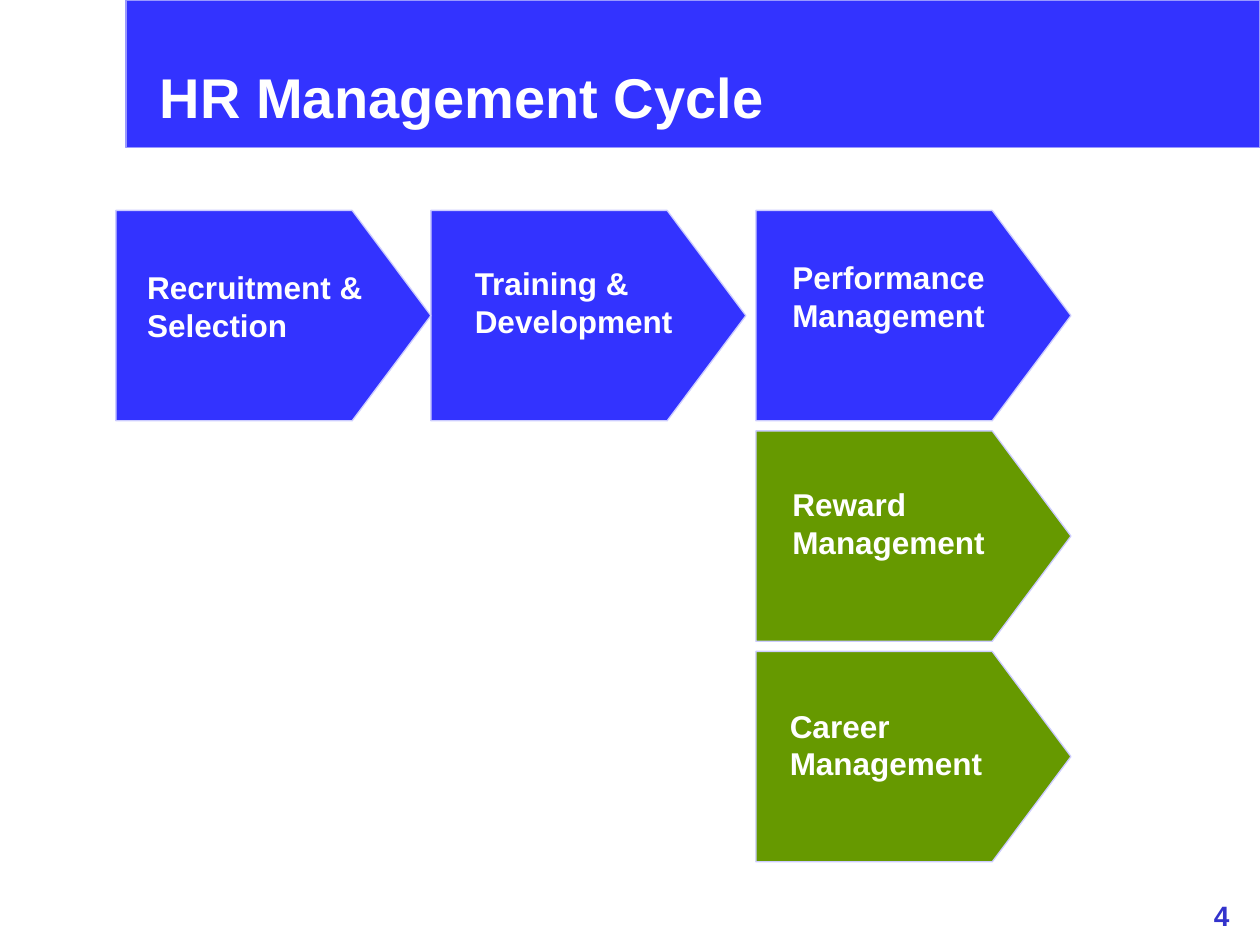
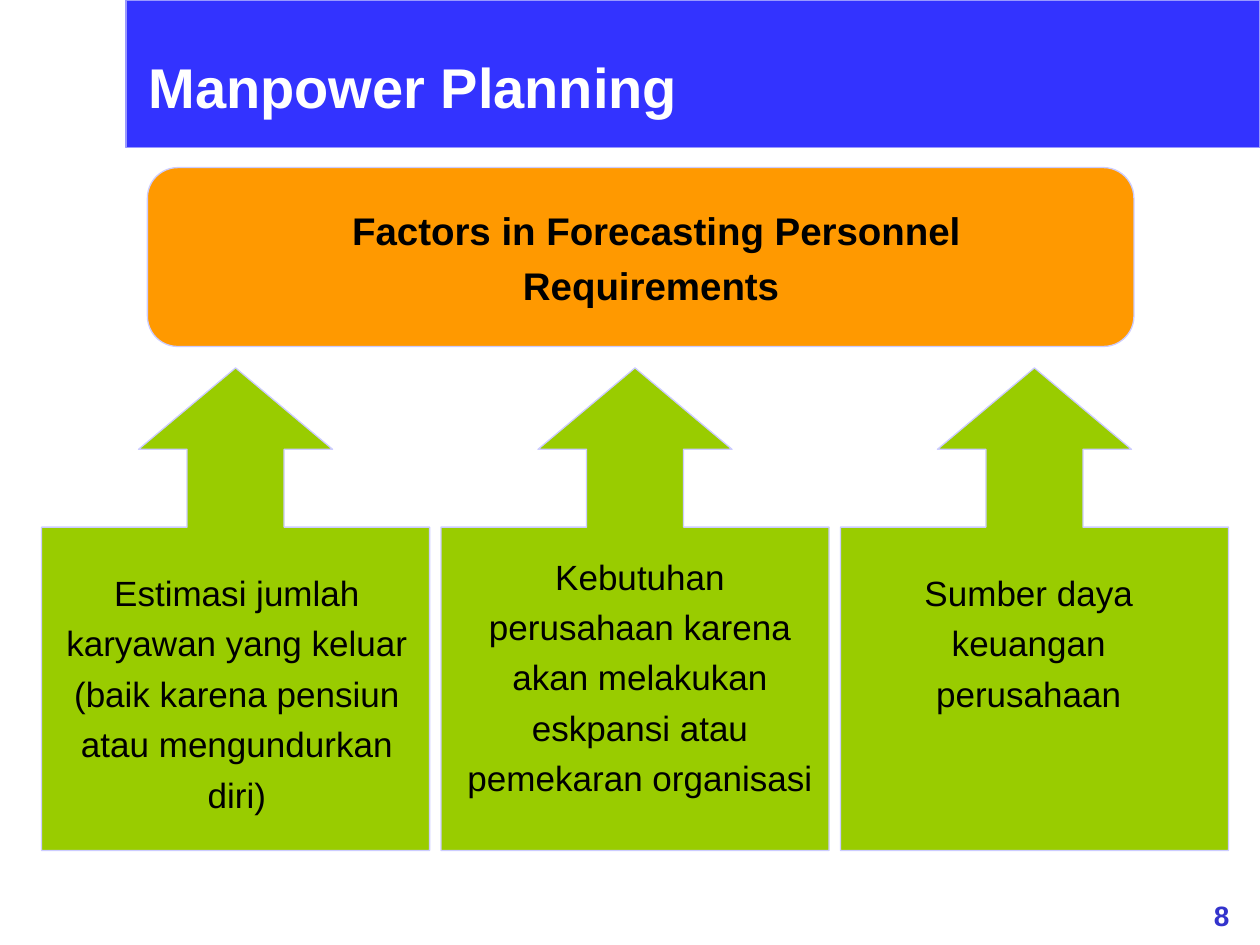
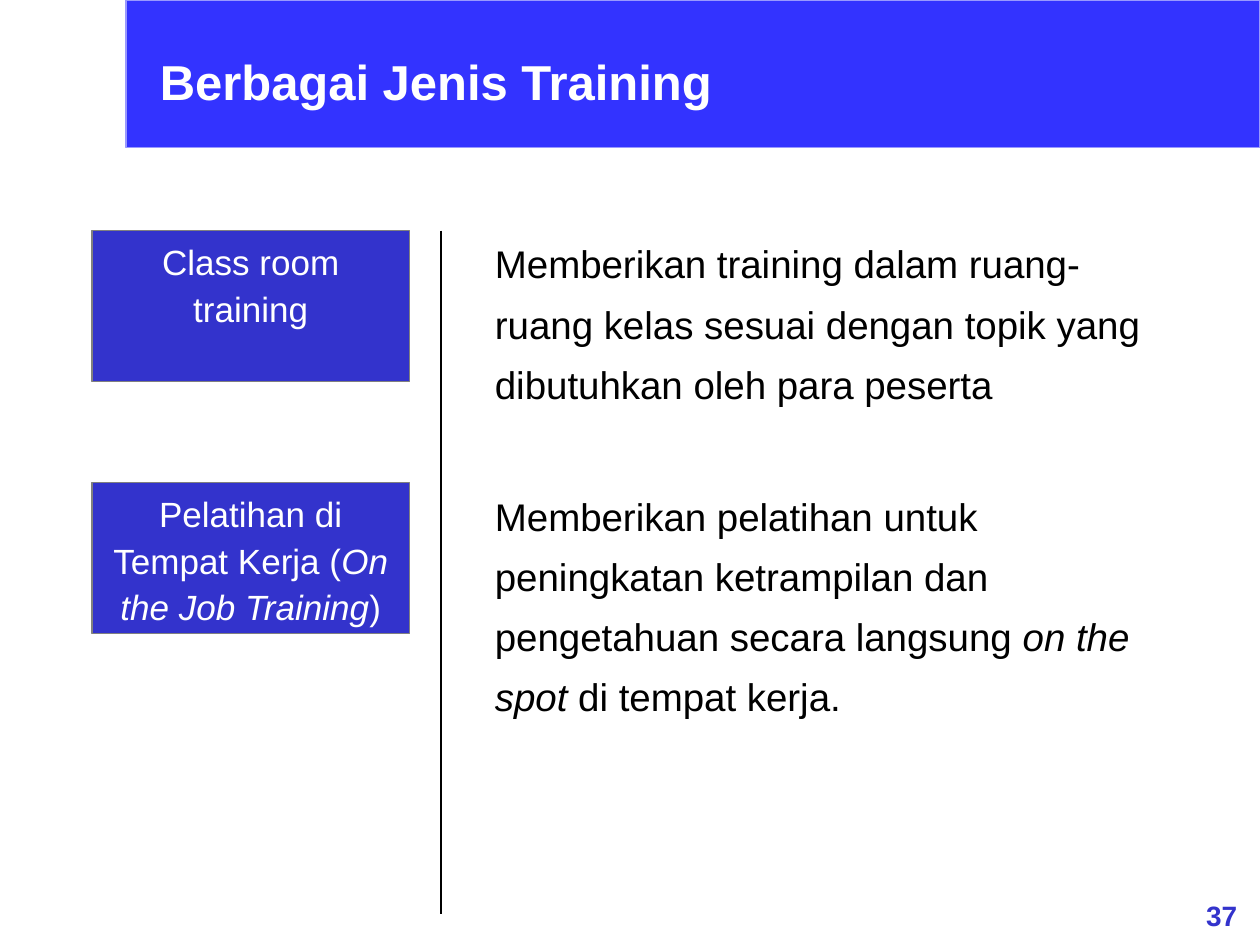
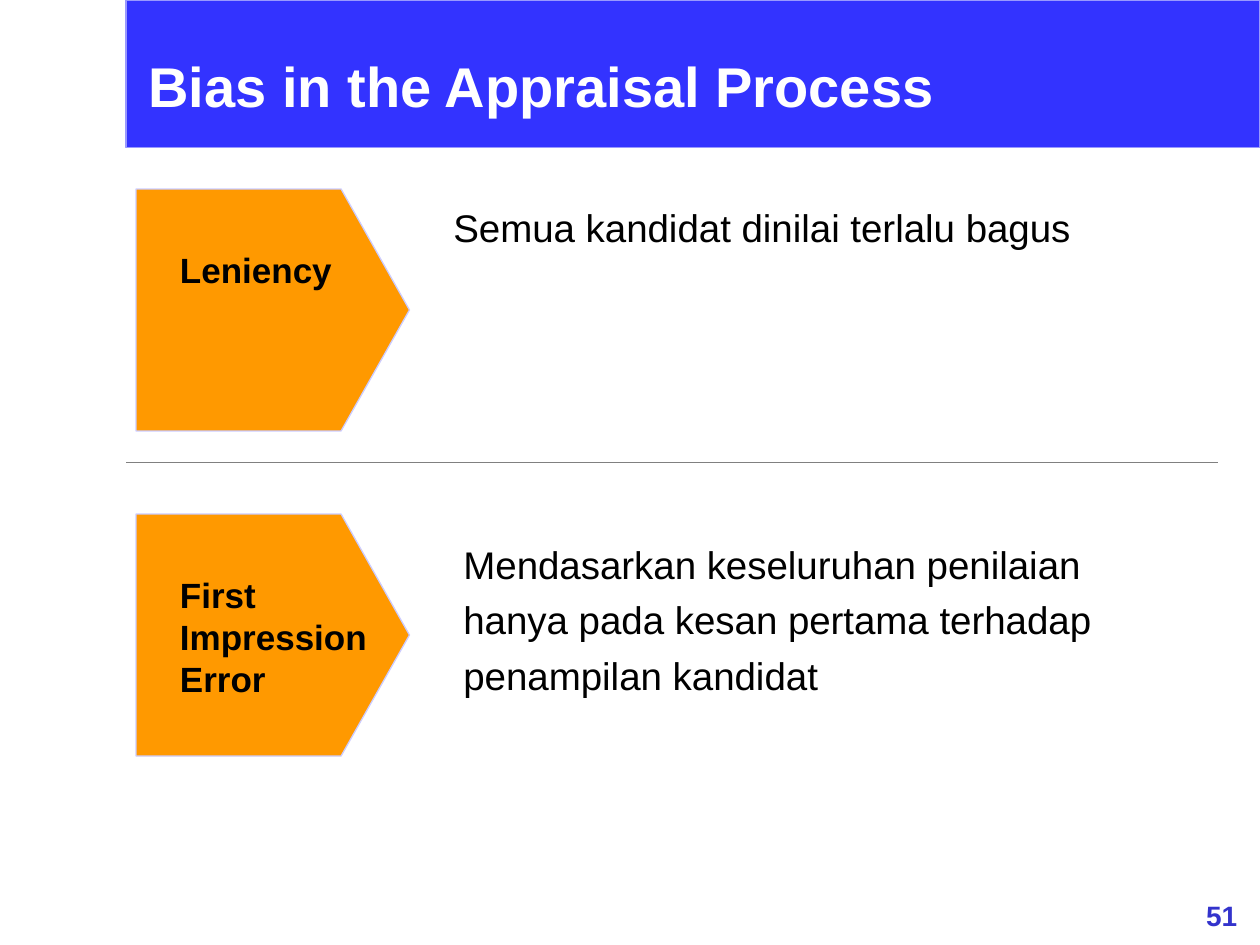
from dataclasses import dataclass

from lxml.etree import SubElement
from pptx import Presentation
from pptx.dml.color import RGBColor
from pptx.enum.shapes import MSO_CONNECTOR, MSO_SHAPE
from pptx.enum.text import MSO_ANCHOR, MSO_AUTO_SIZE, PP_ALIGN
from pptx.oxml.ns import qn
from pptx.util import Inches, Pt


@dataclass(frozen=True)
class Theme:
    font: str = "Arial"
    blue: str = "3333FF"
    indigo: str = "3333CC"
    green: str = "669900"
    lime: str = "99CC00"
    orange: str = "FF9900"
    white: str = "FFFFFF"
    black: str = "000000"
    gray: str = "808080"
    band_edge: str = "9999FF"
    shape_edge: str = "CCCCFF"
    line: float = 0.75
    title: int = 32
    small_title: int = 28
    body: int = 22
    caption: int = 20
    label: int = 18
    number: int = 16


THEME = Theme()

# Slide content. Positions are in inches; text is a list of paragraphs,
# each a list of spans, and a span is (words, italic).
CYCLE = {
    "title": "HR Management Cycle", "title_at": (1.17, 0.42, 6.58, 0.66), "number": 4,
    # column, row, fill, label lines, label place
    "steps": [
        (2, 2, THEME.green, ("Career", "Management"), (6.17, 5.56, 1.73, 0.7)),
        (2, 1, THEME.green, ("Reward", "Management"), (6.19, 3.8, 1.73, 0.7)),
        (1, 0, THEME.blue, ("Training &", "Development"), (3.67, 2.05, 1.77, 0.7)),
        (2, 0, THEME.blue, ("Performance", "Management"), (6.19, 2, 1.73, 0.7)),
        (0, 0, THEME.blue, ("Recruitment &", "Selection"), (1.07, 2.08, 1.91, 0.7)),
    ],
}

PLANNING = {
    "title": "Manpower Planning", "title_at": (1.08, 0.34, 8.5, 0.66), "number": 8,
    "heading": "Factors in Forecasting Personnel Requirements ",
    "factors": [
        ("Estimasi jumlah karyawan yang keluar (baik karena pensiun atau mengundurkan diri)",
         (0.42, 4.42, 2.92, 2.1)),
        ("Kebutuhan perusahaan karena akan melakukan eskpansi atau pemekaran organisasi",
         (3.58, 4.29, 3, 2.1)),
        ("Sumber daya keuangan perusahaan", (6.75, 4.42, 2.83, 1.3)),
    ],
}

TRAINING = {
    "title": "Berbagai Jenis Training", "title_at": (1.17, 0.36, 4.6, 0.57), "number": 37,
    "kinds": [
        ([("Class room training", False)],
         [("Memberikan training dalam ruang-ruang kelas sesuai dengan topik yang "
           "dibutuhkan oleh para peserta", False)], 1.53),
        ([("Pelatihan di Tempat Kerja (", False), ("On the Job Training", True), (")", False)],
         [("Memberikan pelatihan untuk peningkatan ketrampilan dan pengetahuan secara "
           "langsung ", False), ("on the spot", True), (" di tempat kerja.", False)], 2.01),
    ],
}

BIAS = {
    "title": "Bias in the Appraisal Process", "title_at": (1.08, 0.36, 6.45, 0.64), "number": 51,
    "errors": [
        ("Leniency", 0.44, "Semua kandidat dinilai terlalu bagus", (3.5, 1.5, 6, 0.98)),
        ("First Impression Error", 1.1,
         "Mendasarkan keseluruhan penilaian hanya pada kesan pertama terhadap "
         "penampilan kandidat", (3.58, 4.17, 6, 1.42)),
    ],
}


def inches(*values):
    return [Inches(value) for value in values]


def color(code):
    return RGBColor.from_string(code)


def write(shape, paragraphs, size, ink, bold=False, align=PP_ALIGN.LEFT, spacing=1.0, wrap=True):
    frame = shape.text_frame
    frame.word_wrap = wrap
    frame.vertical_anchor = MSO_ANCHOR.TOP
    for index, spans in enumerate(paragraphs):
        para = frame.add_paragraph() if index else frame.paragraphs[0]
        para.alignment = align
        para.line_spacing = spacing
        for words, italic in spans:
            span = para.add_run()
            span.text = words
            font = span.font
            font.name, font.size = THEME.font, Pt(size)
            font.bold, font.italic = bold, italic
            font.color.rgb = color(ink)


def add_text(page, at, paragraphs, size, ink=THEME.black, **style):
    """Add a text box; plain strings become one-span paragraphs."""
    box = page.shapes.add_textbox(*inches(*at))
    box.text_frame.auto_size = MSO_AUTO_SIZE.SHAPE_TO_FIT_TEXT
    spans = [[(item, False)] if isinstance(item, str) else item for item in paragraphs]
    write(box, spans, size, ink, **style)


def paint(shape, fill, edge):
    shape.shadow.inherit = False
    shape.fill.solid()
    shape.fill.fore_color.rgb = color(fill)
    shape.line.color.rgb = color(edge)
    shape.line.width = Pt(THEME.line)


def add_box(page, kind, at, fill, edge=THEME.shape_edge, adjustments=()):
    box = page.shapes.add_shape(kind, *inches(*at))
    for index, value in enumerate(adjustments):
        box.adjustments[index] = value
    paint(box, fill, edge)
    return box


def add_pentagon(page, left, top, width, height, fill):
    """Draw a block pointing right, whose tip takes the last quarter."""
    right, shoulder, bottom = left + width, left + 0.75 * width, top + height
    outline = [(shoulder, top), (right, top + height / 2), (shoulder, bottom), (left, bottom)]
    builder = page.shapes.build_freeform(*inches(left, top))
    builder.add_line_segments([inches(*point) for point in outline], close=True)
    paint(builder.convert_to_shape(), fill, THEME.shape_edge)


def add_rule(page, start, end, ink):
    rule = page.shapes.add_connector(MSO_CONNECTOR.STRAIGHT, *inches(*start, *end))
    rule.line.color.rgb = color(ink)
    rule.line.width = Pt(THEME.line)
    SubElement(rule._element.spPr, qn("a:effectLst"))


def add_page(deck, content, title_size=THEME.title, **title_style):
    page = deck.slides.add_slide(deck.slide_layouts[6])
    add_box(page, MSO_SHAPE.RECTANGLE, (1, 0, 9, 1.17), THEME.blue, THEME.band_edge)
    add_text(page, (9.39, 7.08, 0.61, 0.37), [str(content["number"])], THEME.number,
             THEME.indigo, bold=True, align=PP_ALIGN.CENTER)
    add_text(page, content["title_at"], [content["title"]], title_size,
             THEME.white, bold=True, **title_style)
    return page


def build_cycle(deck):
    page = add_page(deck, CYCLE, spacing=1.05)
    column_lefts = (0.92, 3.42, 6)
    for column, row, fill, _, _ in CYCLE["steps"]:
        add_pentagon(page, column_lefts[column], 1.67 + 1.75 * row, 2.5, 1.67, fill)
    for _, _, _, lines, label_at in CYCLE["steps"]:
        add_text(page, label_at, lines, THEME.label, THEME.white, bold=True, wrap=False)


def build_planning(deck):
    page = add_page(deck, PLANNING, spacing=1.05)
    centered = {"align": PP_ALIGN.CENTER, "spacing": 1.2}
    add_box(page, MSO_SHAPE.ROUNDED_RECTANGLE, (1.17, 1.33, 7.83, 1.42), THEME.orange,
            adjustments=(0.17,))
    add_text(page, (1.92, 1.52, 6.58, 0.98), [PLANNING["heading"]], THEME.body,
             bold=True, **centered)
    for index, (words, text_at) in enumerate(PLANNING["factors"]):
        add_box(page, MSO_SHAPE.UP_ARROW_CALLOUT, (0.33 + 3.17 * index, 2.92, 3.08, 3.83),
                THEME.lime, adjustments=(0.25, 0.25, 0.21, 0.67))
        add_text(page, text_at, [words], THEME.caption, **centered)


def build_training(deck):
    page = add_page(deck, TRAINING, THEME.small_title, wrap=False)
    add_rule(page, (3.5, 1.83), (3.5, 7.25), THEME.black)
    for index, (name, description, height) in enumerate(TRAINING["kinds"]):
        offset = 2 * index
        box = add_box(page, MSO_SHAPE.RECTANGLE, (0.73, 1.83 + offset, 2.52, 1.2),
                      THEME.indigo, THEME.gray)
        write(box, [name], THEME.caption, THEME.white, align=PP_ALIGN.CENTER, spacing=1.1)
        add_text(page, (3.83, 1.75 + offset, 5.5, height), [description], THEME.body, spacing=1.3)


def build_bias(deck):
    page = add_page(deck, BIAS, wrap=False)
    for index, (name, name_height, description, text_at) in enumerate(BIAS["errors"]):
        top = 1.5 + 2.58 * index
        add_pentagon(page, 1.08, top, 2.17, 1.92, THEME.orange)
        add_text(page, (1.33, top + 0.42, 2, name_height), [name], THEME.caption, bold=True)
        add_text(page, text_at, [description], THEME.body, spacing=1.2)
    add_rule(page, (1, 3.67), (9.67, 3.67), THEME.gray)


def main():
    deck = Presentation()
    deck.slide_width, deck.slide_height = inches(10, 7.5)
    for build in (build_cycle, build_planning, build_training, build_bias):
        build(deck)
    deck.save("out.pptx")


if __name__ == "__main__":
    main()
